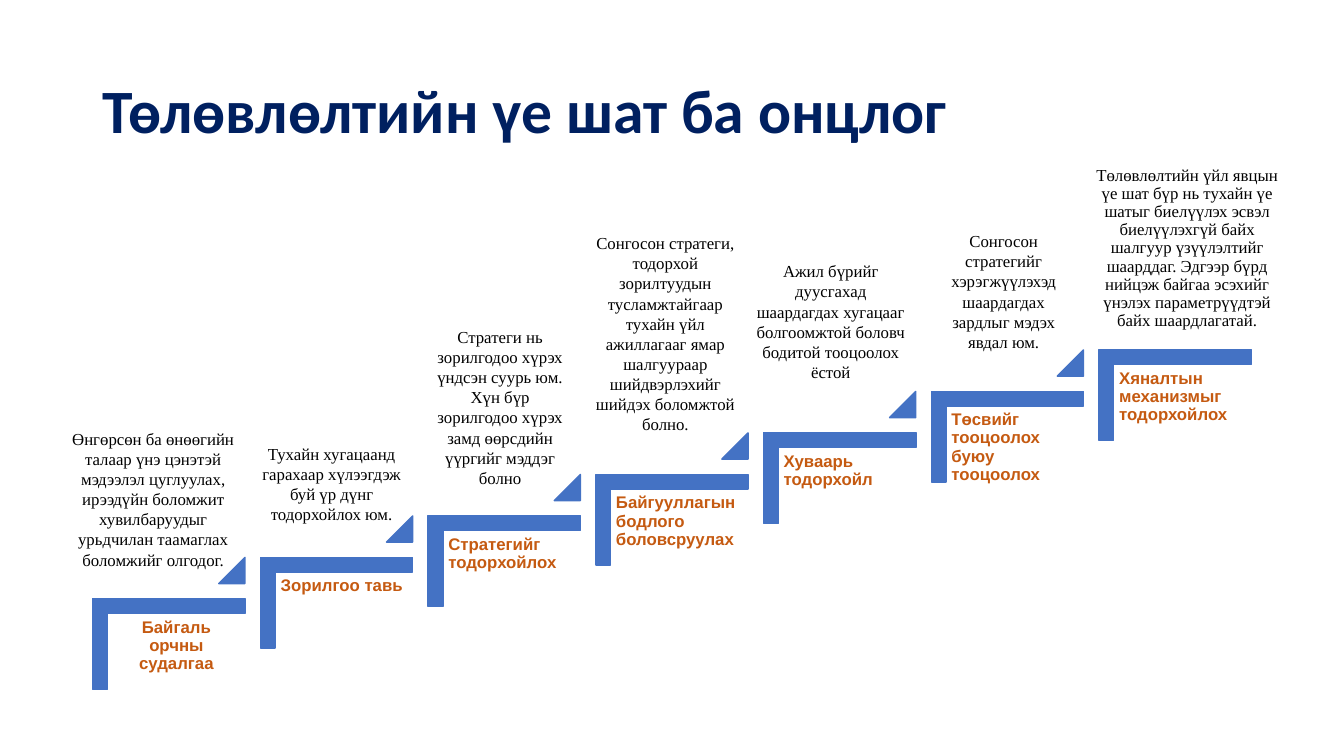
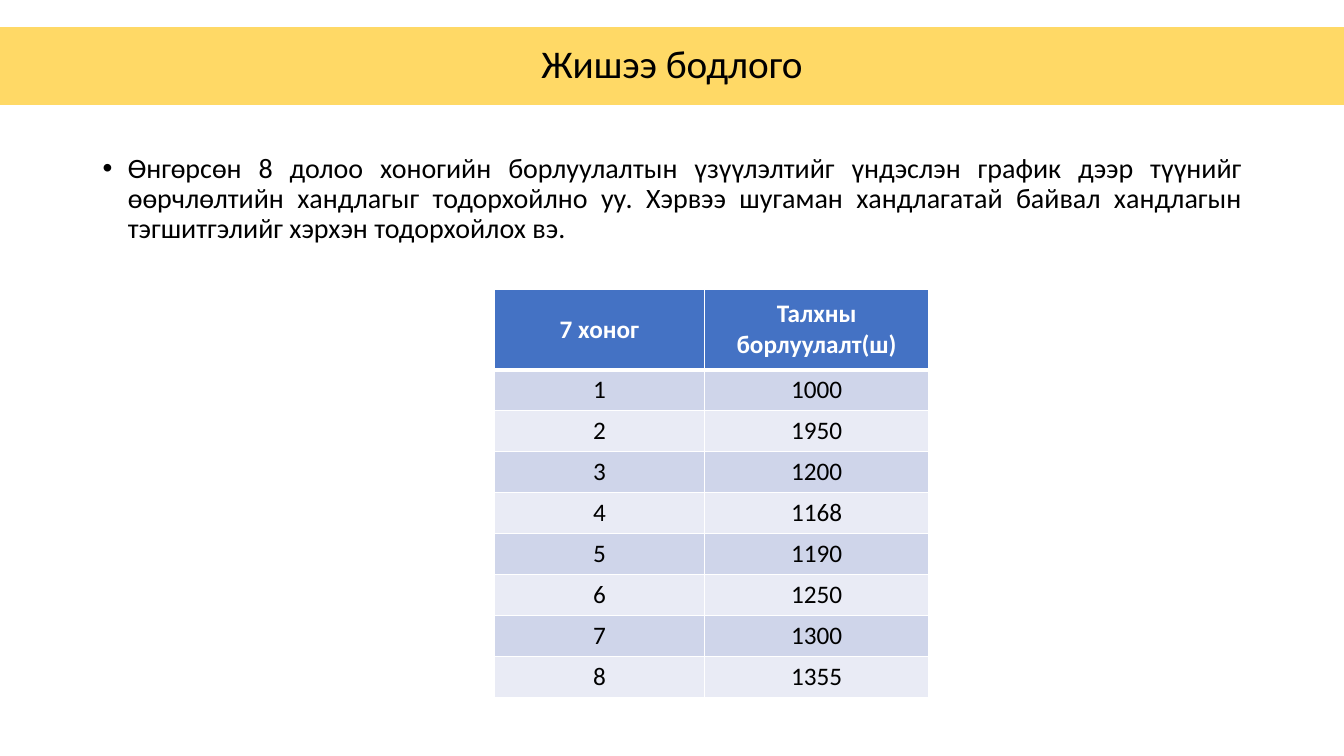
from lxml import etree
from pptx import Presentation
from pptx.dml.color import RGBColor
from pptx.enum.shapes import MSO_SHAPE as SHAPE
from pptx.enum.text import MSO_ANCHOR as ANCHOR, PP_ALIGN as ALIGN
from pptx.oxml.ns import qn
from pptx.util import Inches, Pt

COLORS = {
    "accent": "4472C4", "label": "C55A11", "title": "002060", "band": "FFD966",
    "text": "000000", "white": "FFFFFF", "row_dark": "CFD5EA", "row_light": "E9EBF5",
}


def text_style(font, size, color, align=ALIGN.LEFT, spacing=1.0, bold=False, **frame):
    return {
        "frame": {"word_wrap": True, **frame},
        "paragraph": {"alignment": align, "line_spacing": spacing},
        "font": {"name": font, "size": Pt(size), "bold": bold},
        "color": color,
    }


INSETS = {f"margin_{side}": Inches(0.05) for side in ("left", "top", "right", "bottom")}
MIDDLE = {"vertical_anchor": ANCHOR.MIDDLE}
STYLES = {
    "title": text_style("Calibri", 44, "title", spacing=0.9, bold=True, **MIDDLE),
    "band": text_style("Calibri", 28, "text", ALIGN.CENTER, 0.9, **MIDDLE),
    "task": text_style("Calibri", 20, "text", ALIGN.JUSTIFY, 0.9),
    "label": text_style("Arial", 12, "label", spacing=0.9, bold=True, **INSETS),
    "first_label": text_style("Arial", 12, "label", ALIGN.CENTER, 0.9, True, **INSETS),
    "note": text_style("Times New Roman", 12, "text", ALIGN.CENTER),
    "last_note": text_style("Times New Roman", 12, "text", ALIGN.CENTER, 0.9, **MIDDLE),
    "header": text_style("Calibri", 18, "white", ALIGN.CENTER, bold=True),
    "cell": text_style("Calibri", 18, "text", ALIGN.CENTER),
}

TITLE = "Төлөвлөлтийн үе шат ба онцлог"
# Label, description, description box (left, top, width, height)
STEPS = [
    ("Байгаль орчны судалгаа",
     "Өнгөрсөн ба өнөөгийн талаар үнэ цэнэтэй мэдээлэл цуглуулах, ирээдүйн боломжит "
     "хувилбаруудыг урьдчилан таамаглах боломжийг олгодог.", (0.6, 4.2, 1.84, 1.51)),
    ("Зорилгоо тавь",
     "Тухайн хугацаанд гарахаар хүлээгдэж буй үр дүнг тодорхойлох юм.",
     (2.37, 4.35, 1.84, 0.91)),
    ("Стратегийг тодорхойлох",
     "Стратеги нь зорилгодоо хүрэх үндсэн суурь юм. Хүн бүр зорилгодоо хүрэх замд "
     "өөрсдийн үүргийг мэддэг болно", (4.17, 3.19, 1.58, 1.72)),
    ("Байгууллагын бодлого боловсруулах",
     "Сонгосон стратеги, тодорхой зорилтуудын тусламжтайгаар тухайн үйл ажиллагааг ямар "
     "шалгуураар шийдвэрлэхийг шийдэх боломжтой болно.", (5.8, 2.26, 1.6, 2.12)),
    ("Хуваарь тодорхойл",
     "Ажил бүрийг дуусгахад шаардагдах хугацааг болгоомжтой боловч бодитой тооцоолох ёстой",
     (7.37, 2.54, 1.74, 1.31)),
    ("Төсвийг тооцоолох буюу тооцоолох",
     "Сонгосон стратегийг хэрэгжүүлэхэд шаардагдах зардлыг мэдэх явдал юм.",
     (9.19, 2.24, 1.53, 1.31)),
    ("Хяналтын механизмыг тодорхойлох",
     "Төлөвлөлтийн үйл явцын үе шат бүр нь тухайн үе шатыг биелүүлэх эсвэл биелүүлэхгүй "
     "байх шалгуур үзүүлэлтийг шаарддаг. Эдгээр бүрд нийцэж байгаа эсэхийг үнэлэх "
     "параметрүүдтэй байх шаардлагатай.", (10.73, 1.74, 2.09, 1.45)),
]
STEP_W, STEP_H = 1.51, 0.9
STAIR_BOX = (0.92, 3.47, 11.49, 3.37)

BAND_TITLE = "Жишээ бодлого"
TASK = ("Өнгөрсөн 8 долоо хоногийн борлуулалтын үзүүлэлтийг үндэслэн график дээр түүнийг "
        "өөрчлөлтийн хандлагыг тодорхойлно уу. Хэрвээ шугаман хандлагатай байвал хандлагын "
        "тэгшитгэлийг хэрхэн тодорхойлох вэ.")
SALES_HEADER = ("7 хоног", "Талхны борлуулалт(ш)")
WEEKLY_SALES = (1000, 1950, 1200, 1168, 1190, 1250, 1300, 1355)


def rgb(name):
    return RGBColor.from_string(COLORS[name])


def inches(box):
    return [Inches(value) for value in box]


def set_all(target, values):
    for name, value in values.items():
        setattr(target, name, value)


def write(frame, text, style_name):
    style = STYLES[style_name]
    set_all(frame, style["frame"])
    paragraph = frame.paragraphs[0]
    set_all(paragraph, style["paragraph"])
    run = paragraph.add_run()
    run.text = text
    set_all(run.font, style["font"])
    run.font.color.rgb = rgb(style["color"])
    return paragraph


def add_text(slide, box, text, style_name):
    return write(slide.shapes.add_textbox(*inches(box)).text_frame, text, style_name)


def add_filled(slide, kind, box, color, outlined=True):
    shape = slide.shapes.add_shape(kind, *inches(box))
    shape.shadow.inherit = False
    shape.fill.solid()
    shape.fill.fore_color.rgb = rgb(color)
    if outlined:
        shape.line.color.rgb = rgb(color)
        shape.line.width = Pt(1)
    else:
        shape.line.fill.background()
    return shape


def add_step(slide, left, top, label, style_name, has_next):
    """Draw one stair: a corner turned a quarter, its label and a pointer to the next."""
    turn = (STEP_W - STEP_H) / 2
    corner = add_filled(slide, SHAPE.CORNER,
                        (left + turn, top - turn, STEP_H, STEP_W), "accent")
    corner.rotation = 90
    for index in range(2):
        corner.adjustments[index] = 0.161
    add_text(slide, (left + 0.15, top + 0.15, 1.36, 1.19), label, style_name)
    if has_next:
        pointer = add_filled(slide, SHAPE.ISOSCELES_TRIANGLE,
                             (left + 1.25, top - 0.41, 0.26, 0.26), "accent")
        pointer.adjustments[0] = 1


def add_stairs(slide, box):
    left, top, width, height = box
    last = len(STEPS) - 1
    run, rise = (width - STEP_W) / last, (height - STEP_H) / last
    for index, (label, note, note_box) in enumerate(STEPS):
        add_step(slide, left + index * run, top + (last - index) * rise, label,
                 "label" if index else "first_label", index < last)
        add_text(slide, note_box, note, "note" if index < last else "last_note")


def add_bullet(paragraph):
    properties = paragraph._p.get_or_add_pPr()
    properties.set("marL", str(Inches(0.25)))
    properties.set("indent", str(-Inches(0.25)))
    etree.SubElement(properties, qn("a:buFont")).set("typeface", "Arial")
    etree.SubElement(properties, qn("a:buChar")).set("char", "•")


def set_borders(cell, widths):
    """Put white lines, in points, on the left, right, top and bottom of a cell."""
    properties = cell._tc.get_or_add_tcPr()
    for index, (side, width) in enumerate(zip("LRTB", widths)):
        line = etree.Element(qn(f"a:ln{side}"), w=str(Pt(width)))
        fill = etree.SubElement(line, qn("a:solidFill"))
        etree.SubElement(fill, qn("a:srgbClr")).set("val", COLORS["white"])
        properties.insert(index, line)


def add_sales_table(slide, box):
    rows = [SALES_HEADER, *enumerate(WEEKLY_SALES, start=1)]
    table = slide.shapes.add_table(len(rows), 2, *inches(box)).table
    header_h, first_w = 0.8, 2.09
    row_h = (box[3] - header_h) / len(WEEKLY_SALES)
    for column, width in zip(table.columns, (first_w, box[2] - first_w)):
        column.width = Inches(width)
    for index, values in enumerate(rows):
        is_header = index == 0
        table.rows[index].height = Inches(header_h if is_header else row_h)
        color = "accent" if is_header else "row_dark" if index % 2 else "row_light"
        for column, value in enumerate(values):
            cell = table.cell(index, column)
            cell.vertical_anchor = ANCHOR.MIDDLE if is_header else ANCHOR.TOP
            cell.fill.solid()
            cell.fill.fore_color.rgb = rgb(color)
            set_borders(cell, (1, 1, 3 if index == 1 else 1, 3 if is_header else 1))
            write(cell.text_frame, str(value), "header" if is_header else "cell")


def add_band(slide, box, text):
    band = add_filled(slide, SHAPE.RECTANGLE, box, "band", outlined=False)
    write(band.text_frame, text, "band")


def build_stages_slide(slide):
    add_stairs(slide, STAIR_BOX)
    add_text(slide, (0.92, 0.6, 11.5, 1.05), TITLE, "title")


def build_exercise_slide(slide):
    add_bullet(add_text(slide, (0.92, 1.48, 11.5, 1.2), TASK, "task"))
    add_sales_table(slide, (4.9, 2.87, 4.31, 4.05))
    add_band(slide, (0, 0.27, 13.33, 0.77), BAND_TITLE)


def main():
    deck = Presentation()
    deck.slide_width, deck.slide_height = Inches(13.33), Inches(7.5)
    blank = deck.slide_layouts[6]
    for build in (build_stages_slide, build_exercise_slide):
        build(deck.slides.add_slide(blank))
    deck.save("out.pptx")


if __name__ == "__main__":
    main()
